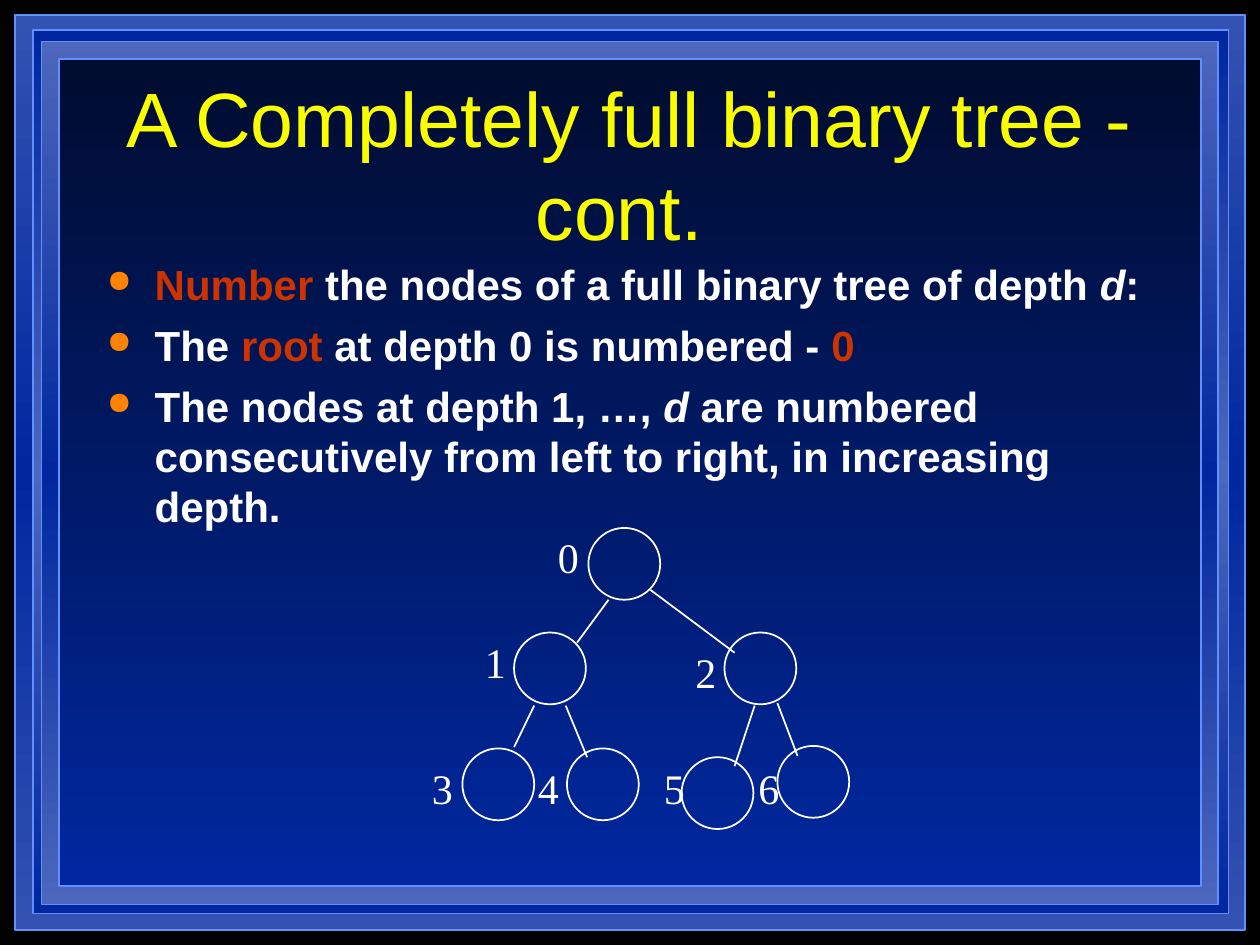
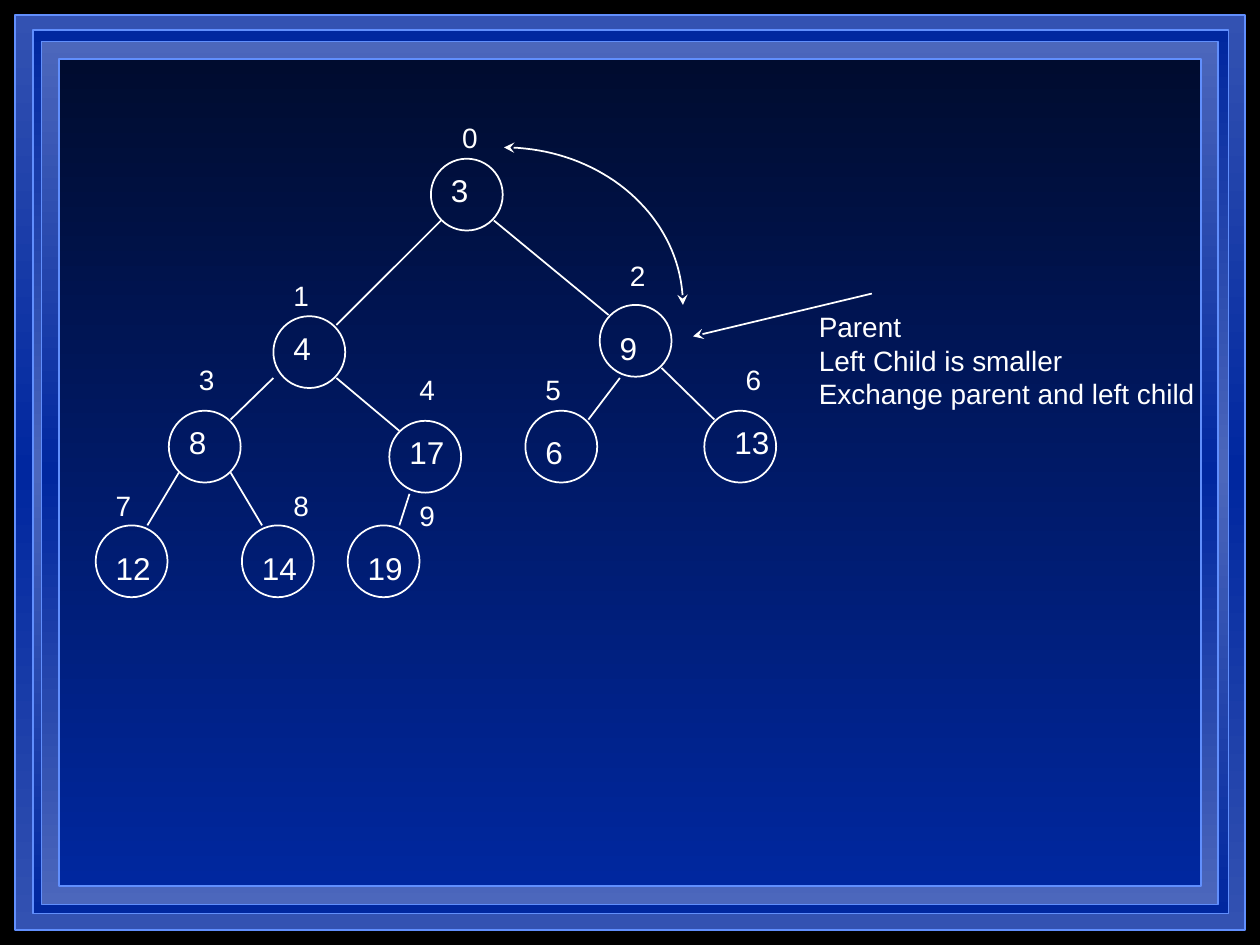
import math

from lxml import etree
from pptx import Presentation
from pptx.dml.color import RGBColor
from pptx.enum import shapes, text
from pptx.oxml import parse_xml
from pptx.oxml.ns import nsdecls, qn
from pptx.util import Inches, Pt

COLORS = {
    "page": "000000", "white": "FFFFFF", "title": "FAFD00", "accent": "CC3300",
    "bullet": "FF8203", "border": "618FFD", "night": "000C2F", "royal": "00279F",
    "steel": "3352B2", "haze": "4C67BC",
}
# Nested frame panels: box and the vertical gradient from top to bottom
FRAME = [
    ((0.12, 0.12, 9.76, 7.26), ("steel", "royal", "steel")),
    ((0.26, 0.24, 9.49, 7.01), ("royal", "haze", "royal")),
    ((0.33, 0.33, 9.34, 6.85), ("haze", "royal", "haze")),
    ((0.47, 0.47, 9.06, 6.56), ("night", "royal")),
]
NODE_SIZE = 0.57

# Node position, then the offset of its number from the node
NUMBERED_NODES = [
    ((1.34, 0.02), (-0.34, -0.02)),
    ((0.75, 0.85), (-0.33, -0.02)),
    ((2.42, 0.85), (-0.33, 0.06)),
    ((0.34, 1.77), (-0.34, 0.06)),
    ((1.17, 1.77), (-0.33, 0.06)),
    ((2.08, 1.84), (-0.24, -0.01)),
    ((2.84, 1.75), (-0.25, 0.08)),
]
NUMBERED_EDGES = [
    (1.5, 0.59, 1.25, 0.93), (1.83, 0.51, 2.5, 1.01),
    (0.91, 1.43, 0.75, 1.76), (1.16, 1.43, 1.33, 1.84),
    (2.66, 1.43, 2.5, 1.91), (2.84, 1.41, 3.0, 1.83),
]
# Node position, value, offset of the value, offset of the index
HEAP_NODES = [
    ((2.66, 0.35), "3", (0.06, 0.05), (0.15, -0.35)),
    ((1.41, 1.6), "4", (0.06, 0.05), (0.06, -0.35)),
    ((4.0, 1.51), "9", (0.06, 0.14), (0.14, -0.42)),
    ((0.58, 2.35), "8", (0.06, 0.05), (0.14, -0.43)),
    ((2.33, 2.43), "17", (0.06, 0.05), (0.14, -0.43)),
    ((3.41, 2.35), "6", (0.06, 0.13), (0.06, -0.35)),
    ((4.83, 2.35), "13", (0.14, 0.05), (0.23, -0.43)),
    ((0, 3.26), "12", (0.06, 0.14), (0.06, -0.34)),
    ((1.16, 3.26), "14", (0.06, 0.14), (0.31, -0.34)),
    ((2.0, 3.26), "19", (0.06, 0.14), (0.47, -0.26)),
]
HEAP_EDGES = [
    (2.74, 0.84, 1.91, 1.67), (3.16, 0.84, 4.07, 1.59),
    (1.41, 2.09, 1.07, 2.42), (1.91, 2.09, 2.41, 2.51),
    (0.66, 2.84, 0.41, 3.26), (1.07, 2.84, 1.32, 3.26),
    (2.49, 3.01, 2.41, 3.26), (4.16, 2.09, 3.91, 2.42),
    (4.49, 2.01, 4.91, 2.42),
]


def rgb(name):
    return RGBColor.from_string(COLORS[name])


def inches(values):
    return [Inches(v) for v in values]


def set_line(sp, color="white", arrows=()):
    """Style a 1 pt line; arrows may hold headEnd and tailEnd."""
    sp.line.color.rgb = rgb(color)
    sp.line.width = Pt(1)
    for end in arrows:
        etree.SubElement(sp.line._get_or_add_ln(), qn(f"a:{end}"), type="stealth")


def set_gradient(sp, names):
    stops = "".join(
        f'<a:gs pos="{100000 * i // (len(names) - 1)}">'
        f'<a:srgbClr val="{COLORS[name]}"/></a:gs>'
        for i, name in enumerate(names))
    fill = parse_xml(f'<a:gradFill {nsdecls("a")}><a:gsLst>{stops}</a:gsLst>'
                     '<a:lin ang="5400000" scaled="0"/></a:gradFill>')
    sp._element.spPr.find(qn("a:prstGeom")).addnext(fill)


def add_bullet(p):
    pPr = p._p.get_or_add_pPr()
    pPr.set("marL", str(Inches(0.38)))
    pPr.set("indent", str(-Inches(0.38)))
    color = etree.SubElement(pPr, qn("a:buClr"))
    etree.SubElement(color, qn("a:srgbClr"), val=COLORS["bullet"])
    etree.SubElement(pPr, qn("a:buSzPct"), val="75000")
    etree.SubElement(pPr, qn("a:buChar"), char="●")


def add_text(slide, box, paragraphs, size, font="Arial", color="white", bold=False,
             align="LEFT", anchor="TOP", wrap=True, bullets=False, gap=0):
    """Each paragraph is a list of strings or (string, run format) pairs."""
    tf = slide.shapes.add_textbox(*inches(box)).text_frame
    tf.word_wrap = wrap
    tf.vertical_anchor = text.MSO_ANCHOR[anchor]
    for i, runs in enumerate(paragraphs):
        p = tf.add_paragraph() if i else tf.paragraphs[0]
        p.alignment = text.PP_ALIGN[align]
        if i and gap:
            p.space_before = Pt(gap)
        if bullets:
            add_bullet(p)
        for run in runs:
            content, style = (run, {}) if isinstance(run, str) else run
            if content == "\n":
                p.add_line_break()
                continue
            r = p.add_run()
            r.text = content
            r.font.name, r.font.size = font, Pt(size)
            r.font.bold, r.font.italic = bold, style.get("italic", False)
            r.font.color.rgb = rgb(style.get("color", color))


def add_shape(slide, kind, box):
    sp = slide.shapes.add_shape(shapes.MSO_SHAPE[kind], *inches(box))
    sp.shadow.inherit = False
    return sp


def add_line(slide, ends, arrows=()):
    line = slide.shapes.add_connector(shapes.MSO_CONNECTOR.STRAIGHT, *inches(ends))
    set_line(line, arrows=arrows)
    etree.SubElement(line._element.spPr, qn("a:effectLst"))


def add_framed_slide(prs):
    slide = prs.slides.add_slide(prs.slide_layouts[6])
    slide.background.fill.solid()
    slide.background.fill.fore_color.rgb = rgb("page")
    for box, gradient in FRAME:
        panel = add_shape(slide, "RECTANGLE", box)
        set_gradient(panel, gradient)
        set_line(panel, "border")
    return slide


def add_node(slide, x, y):
    node = add_shape(slide, "OVAL", (x, y, NODE_SIZE, NODE_SIZE))
    node.fill.background()
    set_line(node)


def add_edges(slide, x, y, edges):
    for x1, y1, x2, y2 in edges:
        add_line(slide, (x + x1, y + y1, x + x2, y + y2))


def add_numbered_tree(slide, x, y):
    add_edges(slide, x, y, NUMBERED_EDGES)
    for number, ((nx, ny), (dx, dy)) in enumerate(NUMBERED_NODES):
        add_node(slide, x + nx, y + ny)
        add_text(slide, (x + nx + dx, y + ny + dy, 0.58, 0.5), [[str(number)]], 24,
                 font="Times New Roman")


def add_heap(slide, x, y):
    add_edges(slide, x, y, HEAP_EDGES)
    for index, ((nx, ny), value, (vx, vy), (ix, iy)) in enumerate(HEAP_NODES):
        left, top = x + nx, y + ny
        add_node(slide, left, top)
        width = 0.2 + 0.14 * len(value)
        add_text(slide, (left + vx, top + vy, width, 0.4), [[value]], 18, wrap=False)
        add_text(slide, (left + ix, top + iy, 0.33, 0.37), [[str(index)]], 16, wrap=False)


def add_exchange_arrow(slide, x, y, width, height, steps=40):
    """Quarter ellipse from the top left to the bottom right of its box."""
    angles = [math.pi / 2 * i / steps for i in range(steps + 1)]
    points = [(Inches(x + width * math.sin(a)), Inches(y + height * (1 - math.cos(a))))
              for a in angles]
    builder = slide.shapes.build_freeform(*points[0])
    builder.add_line_segments(points[1:], close=False)
    sp = builder.convert_to_shape()
    sp.shadow.inherit = False
    sp.fill.background()
    set_line(sp, arrows=("headEnd", "tailEnd"))


def build_numbering_slide(prs):
    slide = add_framed_slide(prs)
    add_text(slide, (0.75, 0.67, 8.5, 1.25), [["A Completely full binary tree - cont. "]],
             44, color="title", align="CENTER", anchor="MIDDLE")
    accent, italic = {"color": "accent"}, {"italic": True}
    add_text(slide, (0.75, 2, 8.5, 4.67), [
        [("Number", accent), " the nodes of a full binary tree of depth ", ("d", italic), ":"],
        ["The ", ("root", accent), " at depth 0 is numbered - ", ("0", accent)],
        ["The nodes at depth 1, …, ", ("d", italic),
         " are numbered consecutively from left to right, in increasing depth."],
    ], 24, bold=True, bullets=True, gap=6)
    add_numbered_tree(slide, 3.33, 4.17)


def build_exchange_slide(prs):
    slide = add_framed_slide(prs)
    add_heap(slide, 0.76, 0.91)
    add_exchange_arrow(slide, 4, 1.17, 1.42, 1.25)
    add_line(slide, (6.92, 2.33, 5.5, 2.67), arrows=("tailEnd",))
    add_text(slide, (6.4, 2.41, 3.18, 0.9), [
        ["Parent", "\n", "Left Child is smaller"],
        ["Exchange parent and left child"],
    ], 16, wrap=False)


def main():
    prs = Presentation()
    prs.slide_width, prs.slide_height = Inches(10), Inches(7.5)
    build_numbering_slide(prs)
    build_exchange_slide(prs)
    prs.save("out.pptx")


if __name__ == "__main__":
    main()
